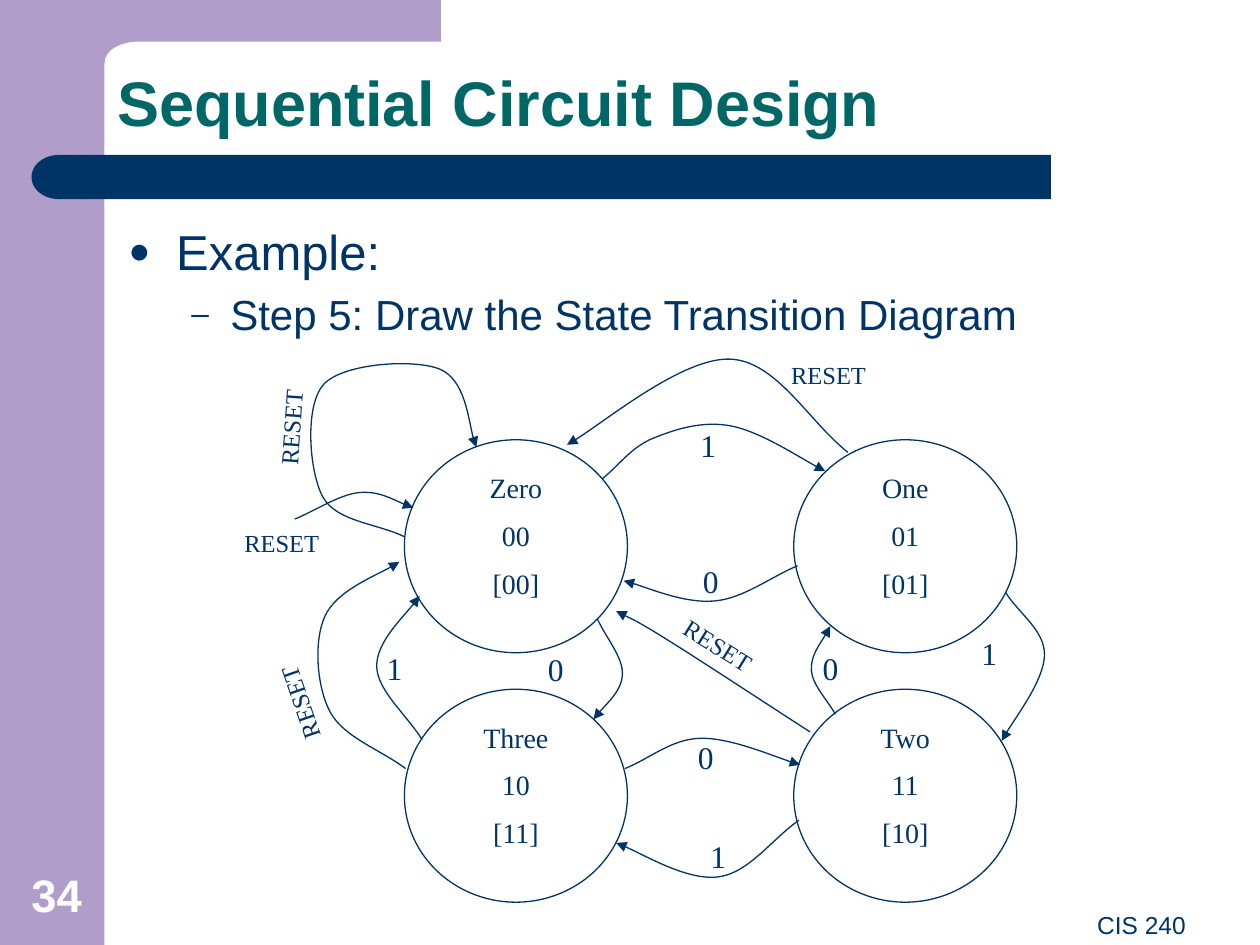
from lxml.etree import SubElement
from pptx import Presentation
from pptx.dml.color import RGBColor
from pptx.enum.shapes import MSO_SHAPE as Shape
from pptx.enum.text import MSO_ANCHOR as Anchor, PP_ALIGN as Align
from pptx.oxml.ns import qn
from pptx.util import Cm, Pt

NAVY, TEAL, LILAC, WHITE = "003366", "006666", "B09DC9", "FFFFFF"
SANS, SERIF = "Arial", "Times New Roman"

# Clockwise from the top left: name, code, output
STATES = ["Zero\n00\n[00]", "One\n01\n[01]", "Two\n11\n[10]", "Three\n10\n[11]"]

# Label, its corner, the knots of the arrow, rotation of the label if any
TRANSITIONS = [
    # Counting up
    ("1", (3.66, 0.53), [(2.98, 1), (3.38, 0.68), (4, 0.58), (4.75, 0.94)]),
    ("1", (5.89, 2.18), [(6.18, 1.9), (6.49, 2.4), (6.15, 3.08)]),
    ("1", (3.74, 3.79), [(4.54, 3.71), (3.9, 4.16), (3.09, 3.89)]),
    ("1", (1.17, 2.3), [(1.55, 3.07), (1.19, 2.49), (1.53, 1.93)]),
    # Counting down
    ("0", (3.64, 3.01), [(3.16, 3.3), (3.76, 3.06), (4.55, 3.27)]),
    ("0", (4.63, 2.3), [(4.83, 2.87), (4.64, 2.52), (4.79, 2.17)]),
    ("0", (3.68, 1.61), [(4.53, 1.69), (3.87, 1.97), (3.15, 1.81)]),
    ("0", (2.45, 2.31), [(2.94, 2.11), (3.14, 2.55), (2.91, 2.91)]),
    # Resets
    ("RESET", (0.04, 1.34), [(0.54, 1.32), (1.05, 1.11), (1.48, 1.23)]),
    ("RESET", (4.38, 0.01), [(4.93, 0.79), (3.99, 0.05), (2.7, 0.73)]),
    ("RESET", (3.49, 2.21), [(4.63, 3.01), (3.5, 2.28), (3.09, 2.05)], 32),
    ("RESET", (0.05, 2.52), [(1.42, 3.3), (0.82, 2.85), (0.78, 2.09), (1.37, 1.66)], 251),
    ("RESET", (0.02, 0.33),
     [(1.41, 1.46), (0.76, 1.14), (0.77, 0.25), (1.69, 0.13), (1.98, 0.75)], 274),
]


def color(value):
    return RGBColor.from_string(value)


def inch(value):
    return Cm(value * 2.54)


def place(box, left, top, width, height):
    """Lengths of an area given relative to the corner of a box."""
    return [inch(v) for v in (box[0] + left, box[1] + top, width, height)]


def paint(shape, fill=None, line=None):
    shape.shadow.inherit = False
    if fill:
        shape.fill.solid()
        shape.fill.fore_color.rgb = color(fill)
    else:
        shape.fill.background()
    if line:
        shape.line.color.rgb = color(line)
        shape.line.width = Pt(0.75)
    else:
        shape.line.fill.background()


def style(para, size, font, ink=NAVY, bold=False, align=Align.LEFT):
    para.alignment = align
    para.font.size, para.font.name, para.font.bold = Pt(size), font, bold
    para.font.color.rgb = color(ink)


def add_text(page, area, text, size, font, anchor=Anchor.TOP, **look):
    box = page.shapes.add_textbox(*area)
    frame = box.text_frame
    frame.word_wrap, frame.vertical_anchor = True, anchor
    frame.text = text
    style(frame.paragraphs[0], size, font, **look)
    return box


def smooth(knots):
    """Bézier segments of a spline through the knots."""
    (x0, y0), (x1, y1) = knots[:2]
    padded = [(2 * x0 - x1, 2 * y0 - y1), *knots, knots[-1]]
    return [
        [tuple(b + (c - a) / 6 for a, b, c in zip(before, start, end)),
         tuple(c - (d - b) / 6 for b, c, d in zip(start, end, after)),
         end]
        for before, start, end, after in zip(padded, padded[1:], padded[2:], padded[3:])]


def add_outline(page, box, start, segments, close=False):
    """Each segment holds one point for a line or three for a Bézier curve."""
    points = [(inch(box[0] + x), inch(box[1] + y)) for x, y in [start, *sum(segments, [])]]
    builder = page.shapes.build_freeform(*points[0])
    builder.add_line_segments(points[1:], close=close)
    shape = builder.convert_to_shape()
    lines = iter(list(shape._element.iter(qn("a:lnTo"))))
    for segment in segments:
        steps = [next(lines) for _ in segment]
        if len(steps) == 3:
            curve = steps[0].makeelement(qn("a:cubicBezTo"))
            steps[0].addprevious(curve)
            for step in steps:
                curve.append(step[0])
                step.getparent().remove(step)
    return shape


def add_frame(page, box):
    # Side band and its rounded inner corner
    paint(page.shapes.add_shape(Shape.RECTANGLE, *place(box, 0, 0, 0.83, 7.5)), LILAC)
    corner = add_outline(page, box, (3.5, 0), [
        [(3.5, 0.33)], [(1.11, 0.33)], [(0.95, 0.33), (0.83, 0.4), (0.83, 0.5)],
        [(0.5, 0.5)], [(0.5, 0)]], close=True)
    paint(corner, LILAC)
    # Title bar with a round left end
    paint(page.shapes.add_shape(Shape.RECTANGLE, *place(box, 0.67, 1.23, 7.67, 0.35)), NAVY)
    cap = page.shapes.add_shape(Shape.FLOWCHART_DELAY, *place(box, 0.25, 1.23, 0.43, 0.35))
    cap.rotation = 180
    paint(cap, NAVY)
    # Slide number and footer
    add_text(page, place(box, 0, 6.83, 0.9, 0.53), "34", 26, SANS, Anchor.BOTTOM,
             ink=WHITE, bold=True, align=Align.CENTER)
    add_text(page, place(box, 3.42, 7.17, 6.09, 0.33), "CIS 240", 14, SANS, align=Align.RIGHT)


def add_title(page, box, text):
    title = page.shapes.title
    title.left, title.top, title.width, title.height = place(box, 0, 0, 8.67, 0.83)
    frame = title.text_frame
    frame.text, frame.vertical_anchor = text, Anchor.BOTTOM
    para = frame.paragraphs[0]
    style(para, 36, SANS, TEAL, bold=True)
    para.line_spacing = 0.9


def add_bullets(page, box, items):
    frame = page.shapes.add_textbox(*place(box, 0, 0, 8.41, 1)).text_frame
    frame.word_wrap = True
    for index, (text, mark, size, indent, hang) in enumerate(items):
        para = frame.add_paragraph() if index else frame.paragraphs[0]
        para.text, para.level = text, index
        props = para._p.get_or_add_pPr()
        props.set("marL", str(inch(indent)))
        props.set("indent", str(-inch(hang)))
        SubElement(SubElement(props, qn("a:buClr")), qn("a:srgbClr"), val=NAVY)
        SubElement(props, qn("a:buSzPct"), val="75000")
        SubElement(props, qn("a:buFont"), typeface=SANS)
        SubElement(props, qn("a:buChar"), char=mark)
        style(para, size, SANS)
        para.space_before = Pt(size * 0.2)


def add_state(page, area, text):
    state = page.shapes.add_shape(Shape.OVAL, *area)
    paint(state, line=NAVY)
    frame = state.text_frame
    frame.text = text
    frame.vertical_anchor, frame.margin_top = Anchor.TOP, 0
    for index, para in enumerate(frame.paragraphs):
        style(para, 16, SERIF, align=Align.CENTER)
        para.space_before = Pt(8 if index else 0)


def add_transition(page, box, text, corner, knots, turn=0):
    arrow = add_outline(page, box, knots[0], smooth(knots))
    paint(arrow, line=NAVY)
    SubElement(arrow.line._get_or_add_ln(), qn("a:tailEnd"), type="triangle")
    width, height, size = (0.99, 0.33, 14) if text == "RESET" else (0.5, 0.4, 18)
    label = add_text(page, place(box, *corner, width, height), text, size, SERIF)
    label.rotation = turn


def add_diagram(page, box):
    # States on a two by two grid
    for index, text in enumerate(STATES):
        row = index // 2
        column = index % 2 ^ row
        add_state(page, place(box, 1.41 + 3.09 * column, 0.69 + 1.98 * row, 1.77, 1.69), text)
    # Curved arrows with their labels
    for transition in TRANSITIONS:
        add_transition(page, box, *transition)


def main():
    deck = Presentation()
    deck.slide_width, deck.slide_height = inch(10), inch(7.5)
    page = deck.slides.add_slide(deck.slide_layouts[5])
    add_frame(page, (0, 0))
    add_title(page, (0.83, 0.33), "Sequential Circuit Design")
    add_bullets(page, (0.92, 1.71), [
        ("Example:", "●", 28, 0.38, 0.38),
        ("Step 5: Draw the State Transition Diagram", "–", 24, 0.81, 0.31)])
    add_diagram(page, (1.8, 2.8))
    deck.save("out.pptx")


if __name__ == "__main__":
    main()
